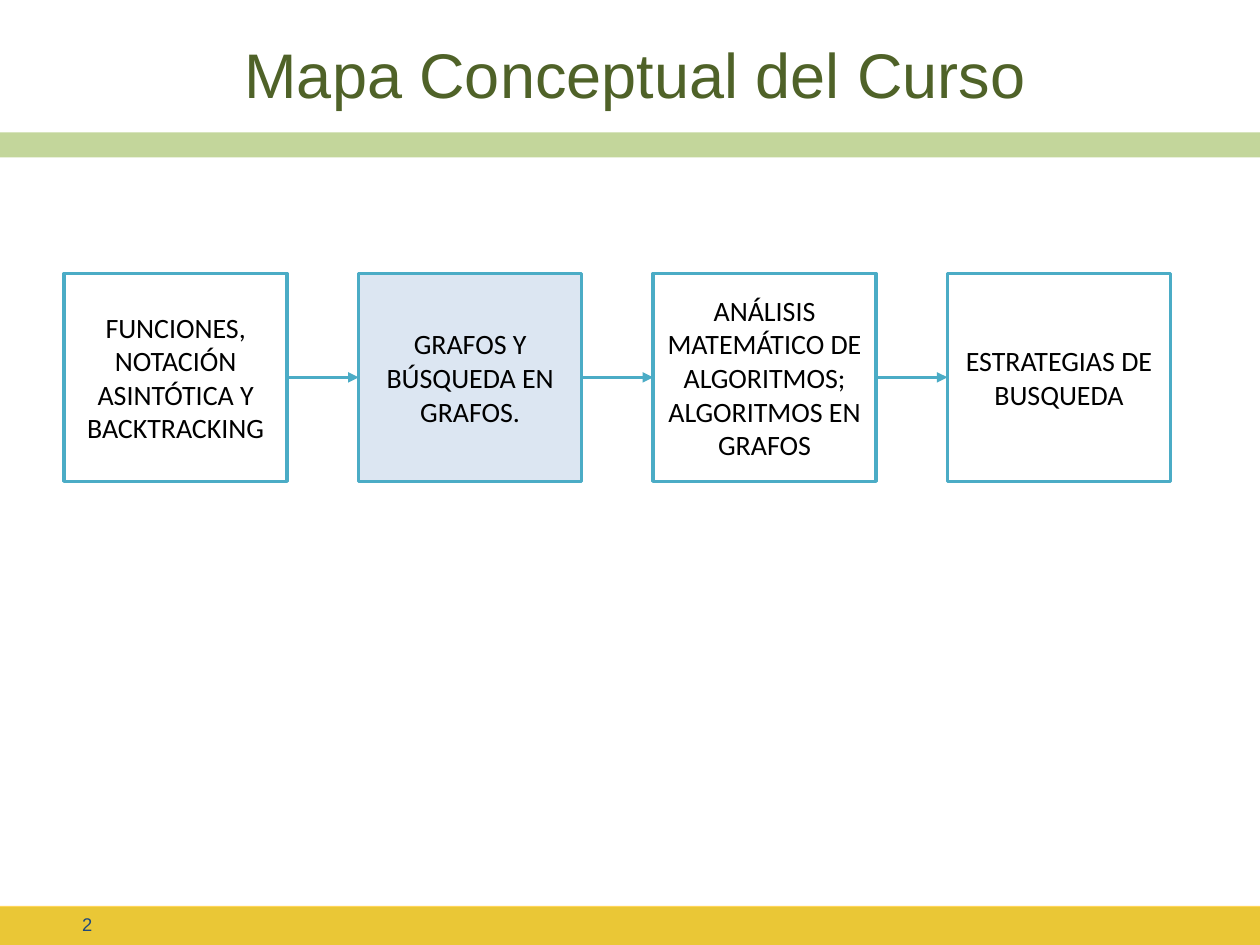
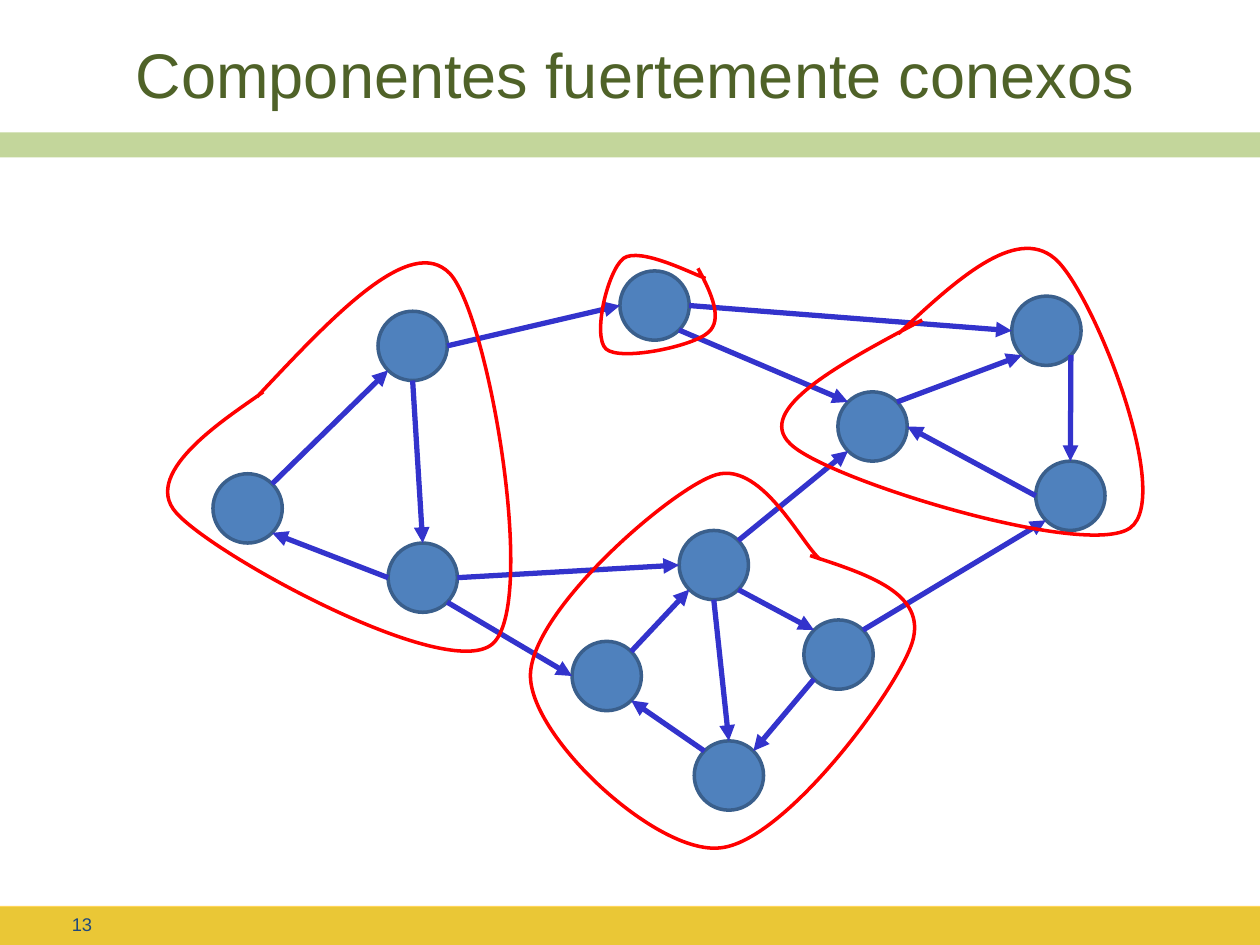
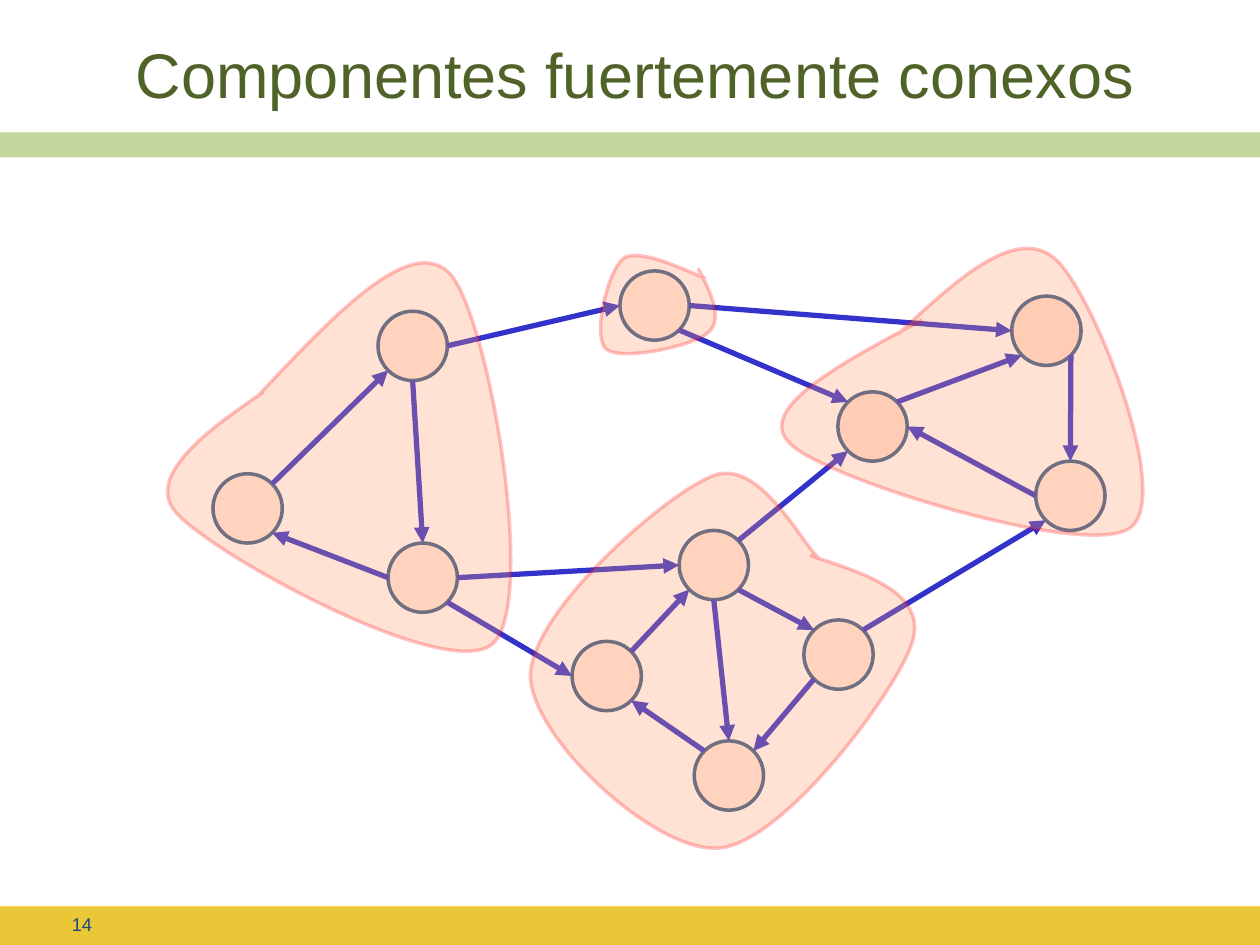
from math import cos, sin, radians

from lxml.etree import SubElement
from pptx import Presentation
from pptx.dml.color import RGBColor
from pptx.enum.shapes import MSO_CONNECTOR as CONN, MSO_SHAPE as SHAPE
from pptx.enum.text import MSO_ANCHOR as ANCHOR, MSO_AUTO_SIZE as AUTO, PP_ALIGN as ALIGN
from pptx.oxml.ns import qn
from pptx.util import Inches, Pt

COLORS = {
    "title": "4F6228", "band": "C3D69B", "footer": "FFC000", "number": "1F497D",
    "box": "FFFFFF", "current": "DCE6F2", "box_line": "4BACC6", "text": "000000",
    "node": "4F81BD", "node_line": "3A5F8C", "edge": "3333CC",
    "group": "FF0000", "highlight": "FF9966",
}


def write(tf, text, size=16, font="Calibri", color="text", align=ALIGN.CENTER):
    tf.word_wrap = True
    tf.auto_size = AUTO.NONE
    tf.vertical_anchor = ANCHOR.MIDDLE
    p = tf.paragraphs[0]
    p.alignment = align
    r = p.add_run()
    r.text = text
    r.font.size = Pt(size)
    r.font.name = font
    r.font.color.rgb = RGBColor.from_string(COLORS[color])


def style(shape, line=None, width=2, fill=None, alpha=100, line_alpha=100, arrow=False):
    sp_pr = shape.element.spPr
    if line:
        shape.line.color.rgb = RGBColor.from_string(COLORS[line])
        shape.line.width = Pt(width)
    else:
        shape.line.fill.background()
    if arrow:
        SubElement(sp_pr.find(qn("a:ln")), qn("a:tailEnd"), type="triangle")
        SubElement(sp_pr, qn("a:effectLst"))
        return
    shape.shadow.inherit = False
    if fill:
        shape.fill.solid()
        shape.fill.fore_color.rgb = RGBColor.from_string(COLORS[fill])
    else:
        shape.fill.background()
    for tag, value in (("a:solidFill", alpha), ("a:ln/a:solidFill", line_alpha)):
        if value < 100:
            solid = sp_pr.xpath(tag)[0]
            SubElement(solid[0], qn("a:alpha"), val=str(value * 1000))


prs = Presentation()
prs.slide_width, prs.slide_height = Inches(10), Inches(7.5)
layout = prs.slide_layouts[5]

# Titles and page numbers
PAGES = [(2, "Mapa Conceptual del Curso"),
         (13, "Componentes fuertemente conexos"),
         (14, "Componentes fuertemente conexos")]
slides = []
for number, title in PAGES:
    s = prs.slides.add_slide(layout)
    slides.append(s)
    ph = s.shapes.title
    ph.left, ph.top, ph.width, ph.height = [Inches(v) for v in (0.35, 0.23, 9.38, 0.71)]
    write(ph.text_frame, title, size=36, font="Arial", color="title")
    tf = s.shapes.add_textbox(Inches(0.34), Inches(7.22), Inches(0.49), Inches(0.23)).text_frame
    tf.margin_top = tf.margin_bottom = Inches(0.04)
    write(tf, str(number), size=10.5, font="Arial", color="number", align=ALIGN.RIGHT)

# Bands, moved to the layout that all slides share
BANDS = [(1.05, 0.2, "band", 100), (7.2, 0.3, "band", 100), (7.19, 0.31, "footer", 65)]
for top, height, fill, alpha in BANDS:
    band = slides[0].shapes.add_shape(SHAPE.RECTANGLE, 0, Inches(top),
                                      prs.slide_width, Inches(height))
    style(band, fill=fill, alpha=alpha)
    layout.shapes.element.append(band.element)

# Slide 1: course map
TOPICS = ["FUNCIONES, NOTACIÓN ASINTÓTICA Y BACKTRACKING",
          "GRAFOS Y BÚSQUEDA EN GRAFOS.",
          "ANÁLISIS MATEMÁTICO DE ALGORITMOS; ALGORITMOS EN GRAFOS",
          "ESTRATEGIAS DE BUSQUEDA"]
CURRENT = 1
FIRST, LAST = 0.51, 7.52
pitch = (LAST - FIRST) / (len(TOPICS) - 1)
s = slides[0]
boxes = []
for i, topic in enumerate(TOPICS):
    box = s.shapes.add_shape(SHAPE.RECTANGLE, Inches(FIRST + pitch * i), Inches(2.17),
                             Inches(1.77), Inches(1.65))
    style(box, line="box_line", fill="current" if i == CURRENT else "box")
    write(box.text_frame, topic)
    boxes.append(box)
for left, right in zip(boxes, boxes[1:]):
    arrow = s.shapes.add_connector(CONN.STRAIGHT, 0, 0, 0, 0)
    arrow.begin_connect(left, 3)
    arrow.end_connect(right, 1)
    style(arrow, line="box_line", arrow=True)

# Slides 2 and 3: one graph, with its components outlined and then filled
SIZE = 0.55
NODES = {"A": (1.69, 3.76), "B": (3, 2.47), "C": (3.08, 4.31), "D": (4.92, 2.15),
         "E": (8.03, 2.35), "F": (6.65, 3.11), "G": (8.22, 3.66), "H": (5.39, 4.21),
         "I": (4.54, 5.09), "J": (6.38, 4.92), "K": (5.51, 5.88)}
ANGLES = {"E": 0, "SE": 45, "S": 90, "SW": 135, "W": 180, "NW": 225, "N": 270, "NE": 315}
# Each edge: start node, side it leaves from, end node, side it enters
EDGES = ["A NE B SW", "B S C N", "C W A SE", "B E D W", "D E E W", "D SE F NW",
         "F NE E SW", "E SE G N", "G W F E", "I NE H SW", "J SW K NE", "K NW I SE",
         "H SE J NW", "H S K N", "H NE F SW", "J NE G SW", "C E H W", "C SE I W"]
# Each component: its box, then a start point and cubic curves of two controls and an end
COMPONENTS = [
    ((1.33, 2.09, 2.73, 3.08),
     [(2.04, 3.15), (2.65, 2.5), (3.26, 1.85), (3.57, 2.17), (3.88, 2.5), (4.27, 4.79),
      (3.91, 5.11), (3.55, 5.42), (1.7, 4.41), (1.4, 4.07), (1.1, 3.74), (1.86, 3.28),
      (2.09, 3.11)]),
    ((4.21, 3.76, 3.05, 2.98),
     [(6.43, 4.41), (6.89, 4.56), (7.36, 4.71), (7.24, 5.1), (7.12, 5.48), (6.22, 6.69),
      (5.71, 6.73), (5.21, 6.78), (4.22, 5.86), (4.21, 5.37), (4.2, 4.87), (5.27, 3.93),
      (5.65, 3.78), (6.03, 3.62), (6.36, 4.32), (6.51, 4.44)]),
    ((6.21, 1.97, 2.86, 2.28),
     [(7.13, 2.65), (7.59, 2.22), (8.06, 1.79), (8.37, 2.05), (8.67, 2.3), (9.32, 3.94),
      (8.97, 4.19), (8.62, 4.44), (6.54, 3.8), (6.27, 3.52), (5.99, 3.25), (6.66, 2.89),
      (7.32, 2.54)]),
    ((4.76, 2.03, 0.91, 0.77),
     [(5.54, 2.13), (5.65, 2.33), (5.74, 2.54), (5.62, 2.64), (5.5, 2.75), (4.92, 2.87),
      (4.81, 2.77), (4.7, 2.67), (4.82, 2.15), (4.95, 2.05), (5.08, 1.96), (5.49, 2.17),
      (5.6, 2.21)]),
]

for s, filled in zip(slides[1:], (False, True)):
    # Nodes
    for name, (x, y) in NODES.items():
        node = s.shapes.add_shape(SHAPE.OVAL, Inches(x), Inches(y), Inches(SIZE), Inches(SIZE))
        if filled:
            style(node, line="node_line", fill="highlight", alpha=28 if name in "EF" else 20)
        else:
            style(node, line="node_line", fill="node")

    # Edges, from rim to rim
    for edge in EDGES:
        start, leave, end, enter = edge.split()
        ends = []
        for name, side in ((start, leave), (end, enter)):
            angle = radians(ANGLES[side])
            x, y = NODES[name]
            ends += [Inches(x + SIZE / 2 * (1 + cos(angle))),
                     Inches(y + SIZE / 2 * (1 + sin(angle)))]
        style(s.shapes.add_connector(CONN.STRAIGHT, *ends), line="edge", width=3, arrow=True)

    # Component outlines: the straight segments become cubic curves
    for (left, top, width, height), curve in COMPONENTS:
        points = [(Inches(x - left), Inches(y - top)) for x, y in curve]
        outline = s.shapes.build_freeform(*points[0])
        outline.add_line_segments(points[1:], close=False)
        shape = outline.convert_to_shape()
        shape.left, shape.top = Inches(left), Inches(top)
        shape.width, shape.height = Inches(width), Inches(height)
        route = shape.element.spPr.find(".//" + qn("a:path"))
        route.set("w", str(Inches(width)))
        route.set("h", str(Inches(height)))
        for segment in list(route)[1:]:
            route.remove(segment)
        for pt, (x, y) in zip(route.iter(qn("a:pt")), points[:1]):
            pt.set("x", str(x))
            pt.set("y", str(y))
        for i in range(1, len(points), 3):
            cubic = SubElement(route, qn("a:cubicBezTo"))
            for x, y in points[i:i + 3]:
                SubElement(cubic, qn("a:pt"), x=str(x), y=str(y))
        if filled:
            style(shape, line="group", line_alpha=23, fill="highlight", alpha=28)
        else:
            style(shape, line="group")

prs.save("out.pptx")
